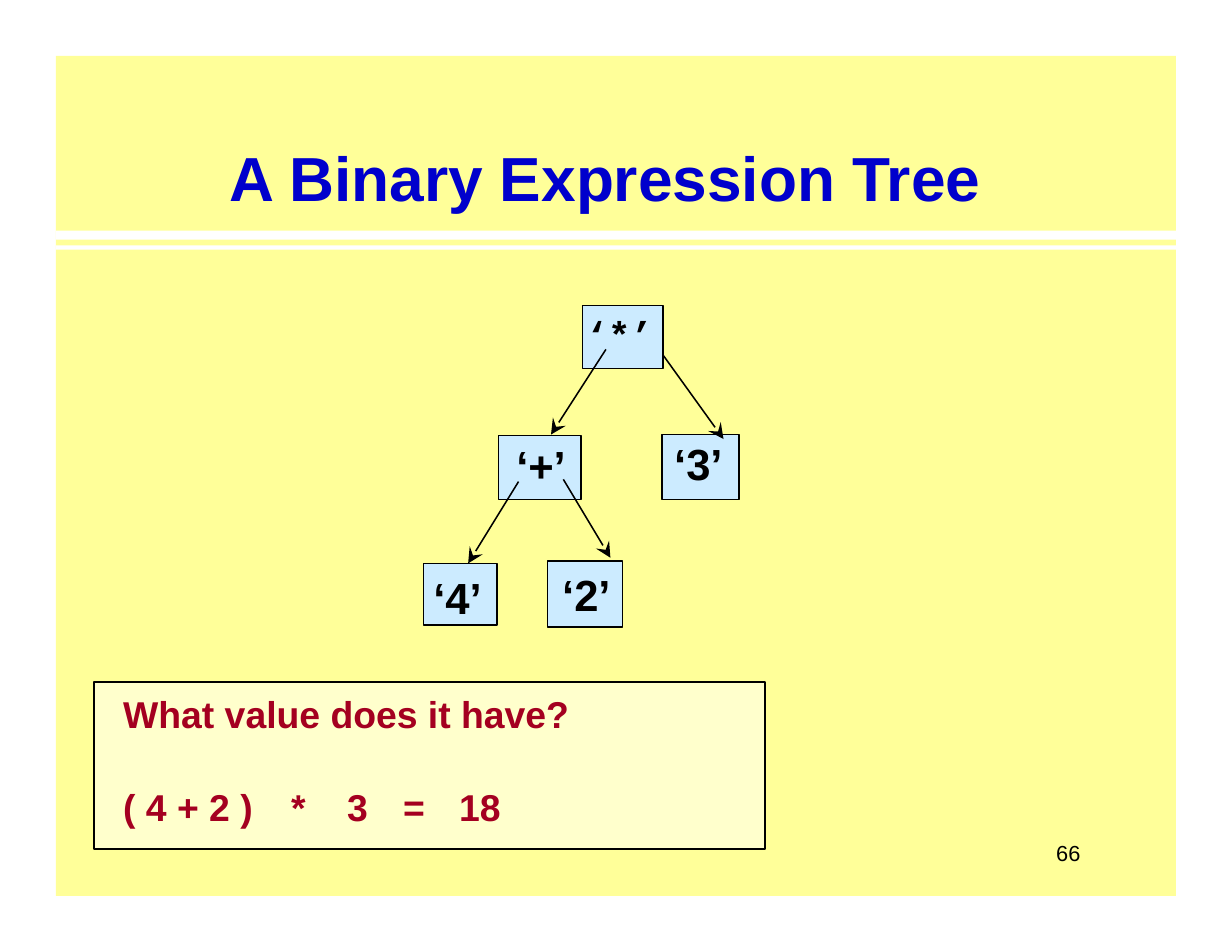
from lxml.etree import SubElement
from pptx import Presentation
from pptx.dml.color import RGBColor
from pptx.enum.shapes import MSO_CONNECTOR as Connector, MSO_SHAPE as Shape
from pptx.enum.text import MSO_ANCHOR as Anchor, PP_ALIGN as Align
from pptx.oxml.ns import qn
from pptx.util import Inches, Pt

COLORS = {"page": "FFFF99", "rule": "FFFFFF", "title": "0000CC", "node": "CCEBFF",
          "ink": "000000", "panel": "FFFFCC", "answer": "A40020"}
WIDTH, HEIGHT, MARGIN = 11, 8.5, 0.5
TITLE = "A Binary Expression Tree"
NUMBER = "66"
ANSWER = ["What value does it have?", "( 4 + 2 )\t*\t3\t=\t18"]
RULES = [(2.06, 0.08), (2.19, 0.04)]
NODES = [
    ("‘*’", (5.2, 2.73, 0.72, 0.56), (0.03, 0.05), 24, "Courier New"),
    ("‘+’", (4.45, 3.89, 0.74, 0.57), (0.16, 0.03), 28, "Arial"),
    ("‘3’", (5.91, 3.88, 0.69, 0.58), (0.11, 0.02), 28, "Arial"),
    ("‘4’", (3.78, 5.03, 0.66, 0.55), (0.09, 0.07), 28, "Arial"),
    ("‘2’", (4.89, 5.01, 0.67, 0.59), (0.13, 0.06), 28, "Arial"),
]
ARROWS = [(5.41, 3.12, 4.92, 3.88), (5.92, 3.17, 6.46, 3.92),
          (4.63, 4.3, 4.18, 5.03), (5.03, 4.28, 5.45, 4.98)]


def color(name):
    return RGBColor.from_string(COLORS[name])


def place(shape, box):
    shape.left, shape.top, shape.width, shape.height = map(Inches, box)


def add_box(slide, box, fill, outlined=False):
    shape = slide.shapes.add_shape(Shape.RECTANGLE, *map(Inches, box))
    shape.shadow.inherit = False
    shape.fill.solid()
    shape.fill.fore_color.rgb = color(fill)
    if outlined:
        shape.line.color.rgb = color("ink")
        shape.line.width = Pt(1)
    else:
        shape.line.fill.background()
    return shape


def write(shape, lines, size, ink, inset=(0, 0), font="Arial", bold=True, gap=0):
    frame = shape.text_frame
    frame.word_wrap = True
    frame.vertical_anchor = Anchor.TOP
    frame.margin_left = frame.margin_right = frame.margin_bottom = 0
    frame.margin_top = Inches(inset[1])
    for index, line in enumerate(lines):
        paragraph = frame.add_paragraph() if index else frame.paragraphs[0]
        paragraph.alignment = Align.LEFT
        paragraph.space_before = Pt(gap if index else 0)
        properties = paragraph._p.get_or_add_pPr()
        properties.set("marL", str(Inches(inset[0])))
        properties.set("indent", "0")
        run = paragraph.add_run()
        run.text = line
        run.font.name, run.font.size, run.font.bold = font, Pt(size), bold
        run.font.color.rgb = color(ink)


def add_arrow(slide, ends):
    arrow = slide.shapes.add_connector(Connector.STRAIGHT, *map(Inches, ends))
    arrow.line.color.rgb = color("ink")
    arrow.line.width = Pt(1)
    SubElement(arrow.line._get_or_add_ln(), qn("a:tailEnd"),
               type="stealth", w="lg", len="lg")
    SubElement(arrow._element.spPr, qn("a:effectLst"))


presentation = Presentation()
presentation.slide_width, presentation.slide_height = Inches(WIDTH), Inches(HEIGHT)
slide = presentation.slides.add_slide(presentation.slide_layouts[5])
title = slide.shapes.title

page_width = WIDTH - 2 * MARGIN
page = add_box(slide, (MARGIN, MARGIN, page_width, HEIGHT - 2 * MARGIN), "page")
title._element.addprevious(page._element)
for top, height in RULES:
    rule = add_box(slide, (MARGIN, top, page_width, height), "rule")
    title._element.addprevious(rule._element)

place(title, (2.04, 1.23, 6.8, 0.7))
write(title, [TITLE], 40, "title", (0.01, 0.01))

panel = add_box(slide, (0.84, 6.09, 5.99, 1.49), "panel", True)
write(panel, ANSWER, 24, "answer", (0.26, 0.08), gap=31)

for label, box, inset, size, font in NODES:
    write(add_box(slide, box, "node", True), [label], size, "ink", inset, font)
for ends in ARROWS:
    add_arrow(slide, ends)

number = slide.shapes.add_textbox(*map(Inches, (9.39, 7.5, 0.3, 0.24)))
write(number, [NUMBER], 14, "ink", (0.04, 0), bold=False)

presentation.save("out.pptx")
